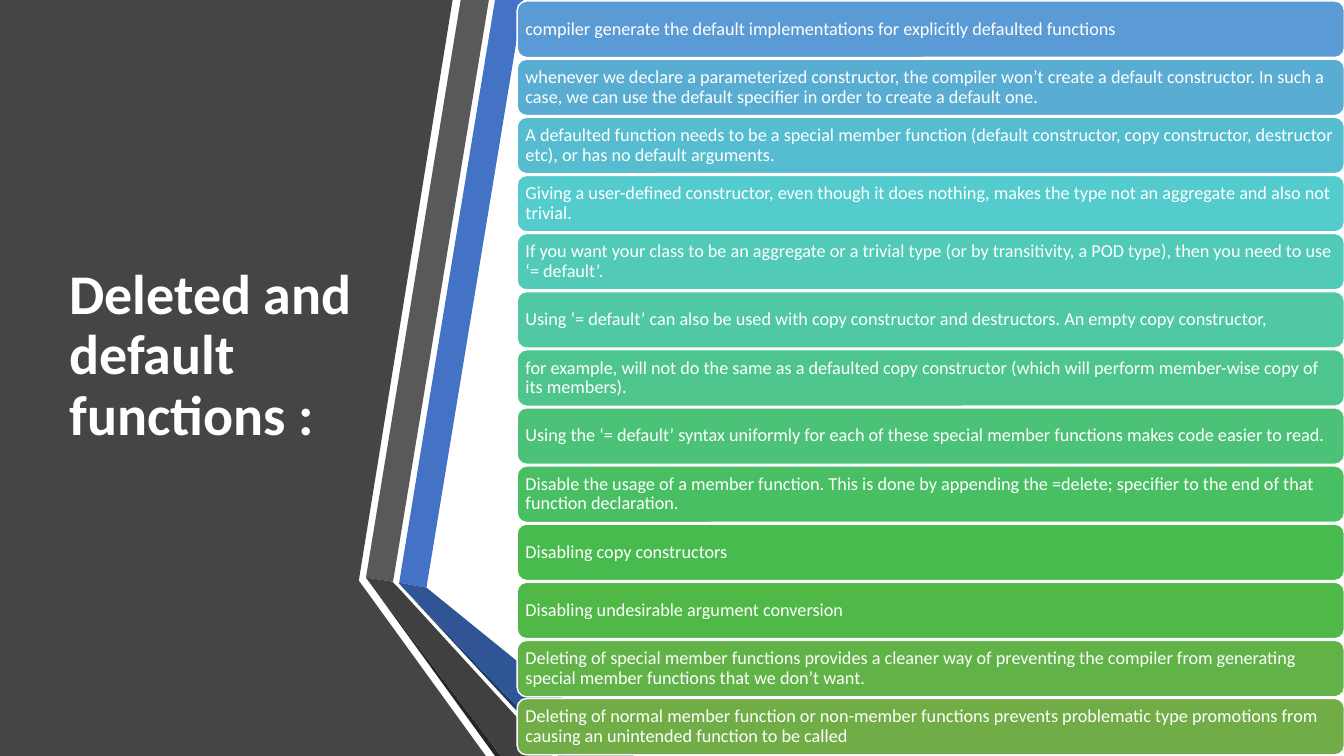
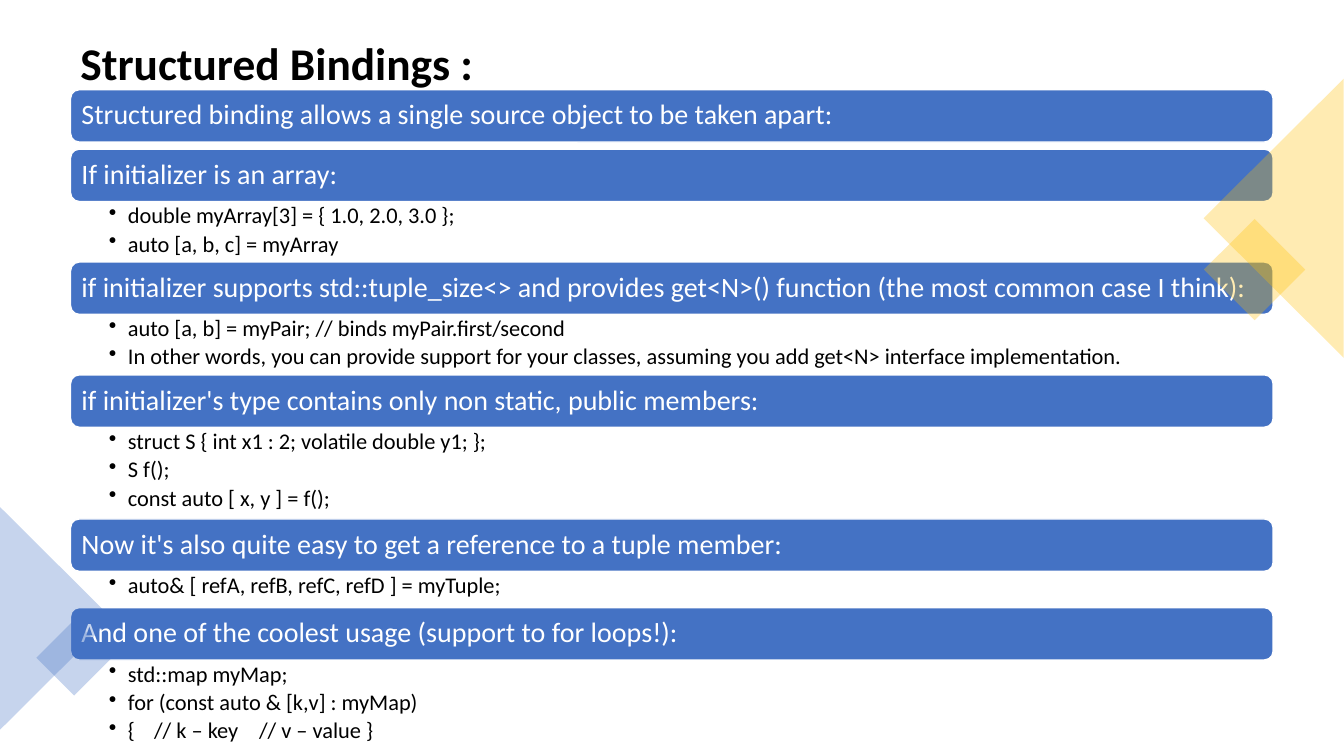
from lxml import etree
from pptx import Presentation
from pptx.dml.color import RGBColor
from pptx.enum import shapes, text
from pptx.oxml import ns
from pptx.util import Inches, Pt

FONT = "Calibri"
WHITE, BLACK, BLUE, GOLD = "FFFFFF", "000000", "4472C4", "FFC000"
PANEL = "454545"
COLUMN, ROW = Inches(13.33) / 100, Inches(7.5) / 100

RIBBONS = [
    (PANEL, [(0, 0), (33.68, 0), (26.7, 76.8), (36.15, 100), (0, 100)]),
    (BLUE, [(29.7, 77.07), (31.73, 77.73), (38.93, 0), (36.83, 0)]),
    ("595959", [(36.38, 0), (34.28, 0), (27.23, 76.4), (29.25, 76.93)]),
    ("262626", [(27.23, 76.4), (36.83, 100), (37.28, 100)]),
    ("203864", [(29.7, 77.2), (41.55, 100), (42, 100)]),
    ("2F5597", [(29.7, 77.2), (42, 100), (47.18, 100), (31.73, 77.73), (29.7, 77.07)]),
    ("404040", [(41.1, 100), (29.63, 77.73), (29.18, 76.93), (27.23, 76.4), (37.28, 100)]),
]

RULES = [
    ("5B9BD5", "compiler generate the default implementations for explicitly defaulted functions"),
    ("59ACD2", "whenever we declare a parameterized constructor, the compiler won’t create a default "
               "constructor. In such a case, we can use the default specifier in order to create a default one."),
    ("56BCD0", "A defaulted function needs to be a special member function (default constructor, "
               "copy constructor, destructor etc), or has no default arguments."),
    ("54CCCD", "Giving a user-defined constructor, even though it does nothing, makes the type "
               "not an aggregate and also not trivial."),
    ("52CAB8", "If you want your class to be an aggregate or a trivial type (or by transitivity, "
               "a POD type), then you need to use ‘= default’."),
    ("4FC8A3", "Using ‘= default’ can also be used with copy constructor and destructors. "
               "An empty copy constructor,"),
    ("4DC58D", "for example, will not do the same as a defaulted copy constructor "
               "(which will perform member-wise copy of its members)."),
    ("4BC278", "Using the ‘= default’ syntax uniformly for each of these special member functions "
               "makes code easier to read."),
    ("49BF64", "Disable the usage of a member function. This is done by appending the =delete; "
               "specifier to the end of that function declaration."),
    ("48BB4F", "Disabling copy constructors"),
    ("50B846", "Disabling undesirable argument conversion"),
    ("61B247", "Deleting of special member functions provides a cleaner way of preventing the compiler "
               "from generating special member functions that we don’t want."),
    ("70AD47", "Deleting of normal member function or non-member functions prevents problematic type "
               "promotions from causing an unintended function to be called"),
]

BINDINGS = [
    ("Structured binding allows a single source object to be taken apart:", []),
    ("If initializer is an array:",
     ["double myArray[3] = { 1.0, 2.0, 3.0 };", "auto [a, b, c] = myArray"]),
    ("if initializer supports std::tuple_size<> and provides get<N>() function (the most common case I think):",
     ["auto [a, b] = myPair; // binds myPair.first/second",
      "In other words, you can provide support for your classes, assuming you add get<N> "
      "interface implementation."]),
    ("if initializer's type contains only non static, public members:",
     ["struct S { int x1 : 2; volatile double y1; };", "S f();", "const auto [ x, y ] = f();"]),
    ("Now it's also quite easy to get a reference to a tuple member:",
     ["auto& [ refA, refB, refC, refD ] = myTuple;"]),
    ("And one of the coolest usage (support to for loops!):",
     ["std::map myMap;", "for (const auto & [k,v] : myMap)", "{\t// k – key\t// v – value }"]),
]
POINT_ROWS = {0: 0.93, 1: 4.8, 2: 8, 3: 12.13}


def emu(box):
    """Turn a grid box (column, row, columns, rows) into lengths."""
    return [round(n * unit) for n, unit in zip(box, (COLUMN, ROW) * 2)]


def paint(fill, color, alpha=None):
    """Fill with a hex colour, at a percentage of opacity if given."""
    fill.solid()
    fill.fore_color.rgb = RGBColor.from_string(color)
    if alpha:
        srgb = fill._xPr.find(".//" + ns.qn("a:srgbClr"))
        etree.SubElement(srgb, ns.qn("a:alpha"), val=str(alpha * 1000))


def finish(shape, color, alpha=None):
    """Give a shape a flat fill without outline or shadow."""
    shape.shadow.inherit = False
    paint(shape.fill, color, alpha)
    shape.line.fill.background()
    return shape


def write(shape, lines, size, color, insets, anchor=text.MSO_ANCHOR.MIDDLE, bold=False):
    """Write paragraphs in a shape and return them."""
    frame = shape.text_frame
    frame.word_wrap = True
    frame.vertical_anchor = anchor
    frame.margin_left, frame.margin_top, frame.margin_right, frame.margin_bottom = map(Pt, insets)
    frame.text = "\n".join(lines)
    for line in frame.paragraphs:
        line.alignment = text.PP_ALIGN.LEFT
        line.line_spacing = 0.9
        line.font.name, line.font.size, line.font.bold = FONT, Pt(size), bold
        paint(line.font.fill, color)
    return frame.paragraphs


def title(slide, box, words, size, color):
    """Add a bold slide title."""
    write(slide.shapes.add_textbox(*emu(box)), [words], size, color, (7.2, 3.6, 7.2, 3.6), bold=True)


def bar(slide, box, words, color, size, inset):
    """Add a rounded bar with white text."""
    shape = finish(slide.shapes.add_shape(shapes.MSO_SHAPE.ROUNDED_RECTANGLE, *emu(box)), color)
    paint(shape.line.fill, WHITE)
    shape.line.width = Pt(1)
    write(shape, [words], size, WHITE, [inset] * 4)


def bullets(slide, box, points):
    """Add a bulleted list below a bar."""
    area = slide.shapes.add_textbox(*emu(box))
    for point in write(area, points, 16, BLACK, (27.3, 2, 12, 2), text.MSO_ANCHOR.TOP):
        point.space_after = Pt(3)
        props = point._p.get_or_add_pPr()
        props.set("marL", str(Inches(0.19)))
        props.set("indent", str(-Inches(0.19)))
        etree.SubElement(props, ns.qn("a:buChar"), char="•")
        if "\t" in point.text:
            stops = etree.SubElement(props, ns.qn("a:tabLst"))
            for stop in (0.45, 1.49):
                etree.SubElement(stops, ns.qn("a:tab"), pos=str(Inches(stop)), algn="l")


def ribbons(slide):
    """Draw the dark panel and the folded ribbons beside it."""
    for color, outline in RIBBONS:
        start, *rest = [emu(corner) for corner in outline]
        builder = slide.shapes.build_freeform(*start)
        builder.add_line_segments(rest, close=True)
        finish(builder.convert_to_shape(), color)


def bar_column(slide, box, rules, bar_rows=7.47):
    """Spread the bars evenly over the height of the box."""
    left, top, width, height = box
    step = (height - bar_rows) / (len(rules) - 1)
    for i, (color, words) in enumerate(rules):
        bar(slide, (left, top + i * step, width, bar_rows), words, color, 13, 4)


def outline_stack(slide, left, top, width, sections, bar_rows=6.93):
    """Stack headings, each followed by its points."""
    for heading, points in sections:
        bar(slide, (left, top, width, bar_rows), heading, BLUE, 20, 6)
        top += bar_rows
        rows = POINT_ROWS[len(points)]
        if points:
            bullets(slide, (left, top, width, rows), points)
        top += rows


def edge_accent(slide, color, triangle, turn, diamond):
    """Lay a translucent triangle and diamond on a slide edge."""
    kinds = shapes.MSO_SHAPE
    for kind, box, angle in ((kinds.ISOSCELES_TRIANGLE, triangle, turn), (kinds.RECTANGLE, diamond, 45)):
        finish(slide.shapes.add_shape(kind, *emu(box)), color, 30).rotation = angle


def functions_slide(slide):
    """Build the slide on deleted and default functions."""
    ribbons(slide)
    title(slide, (4.43, 10, 22.8, 74.4), "Deleted and default functions :", 40, WHITE)
    bar_column(slide, (38.48, 0.13, 61.55, 99.73), RULES)


def bindings_slide(slide):
    """Build the slide on structured bindings."""
    title(slide, (5.25, 4.67, 89.48, 8), "Structured Bindings :", 32.4, BLACK)
    outline_stack(slide, 5.25, 11.87, 89.48, BINDINGS)
    edge_accent(slide, GOLD, (84.38, 19.6, 20.78, 18.53), 270, (90.68, 30.93, 5.33, 9.47))
    edge_accent(slide, BLUE, (-4.13, 74.4, 16.58, 14.8), 90, (3.53, 83.47, 3.98, 7.07))


def main():
    """Build and save the presentation."""
    deck = Presentation()
    deck.slide_width, deck.slide_height = Inches(13.33), Inches(7.5)
    for build in (functions_slide, bindings_slide):
        build(deck.slides.add_slide(deck.slide_layouts[6]))
    deck.save("out.pptx")


if __name__ == "__main__":
    main()
